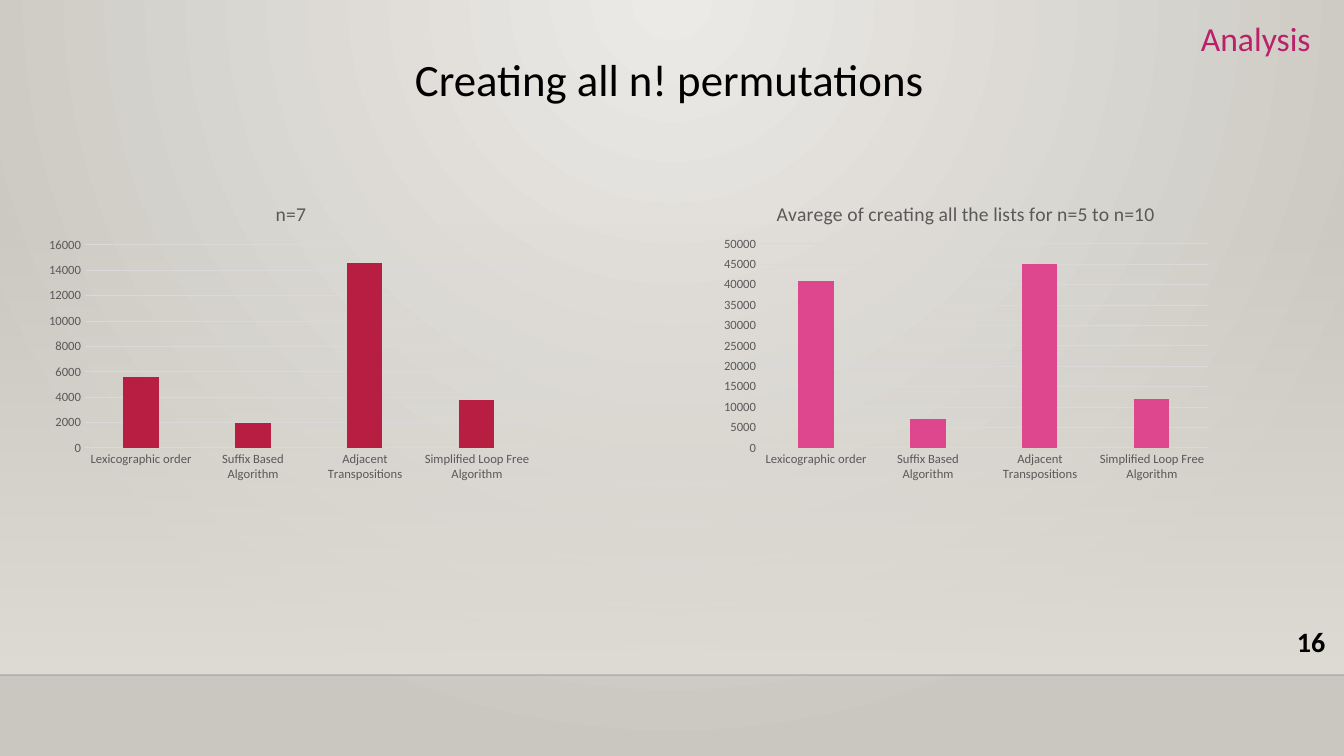
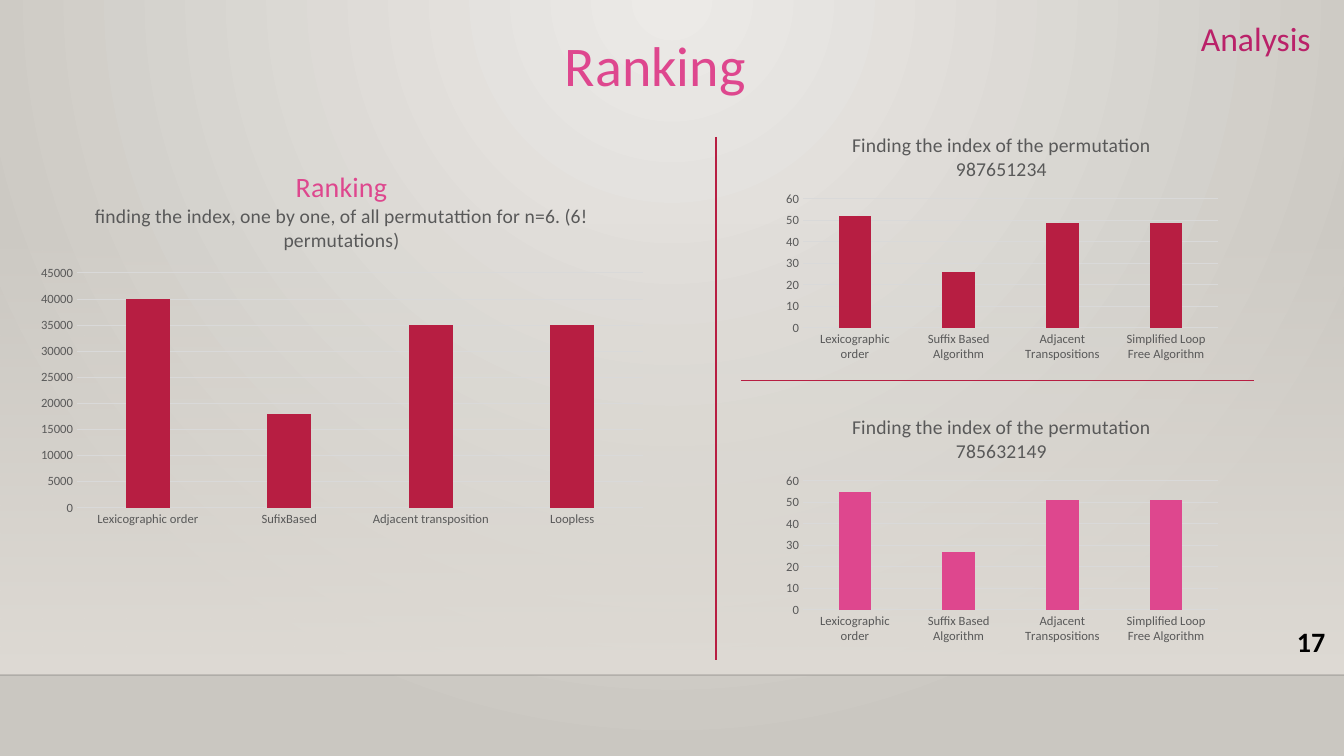
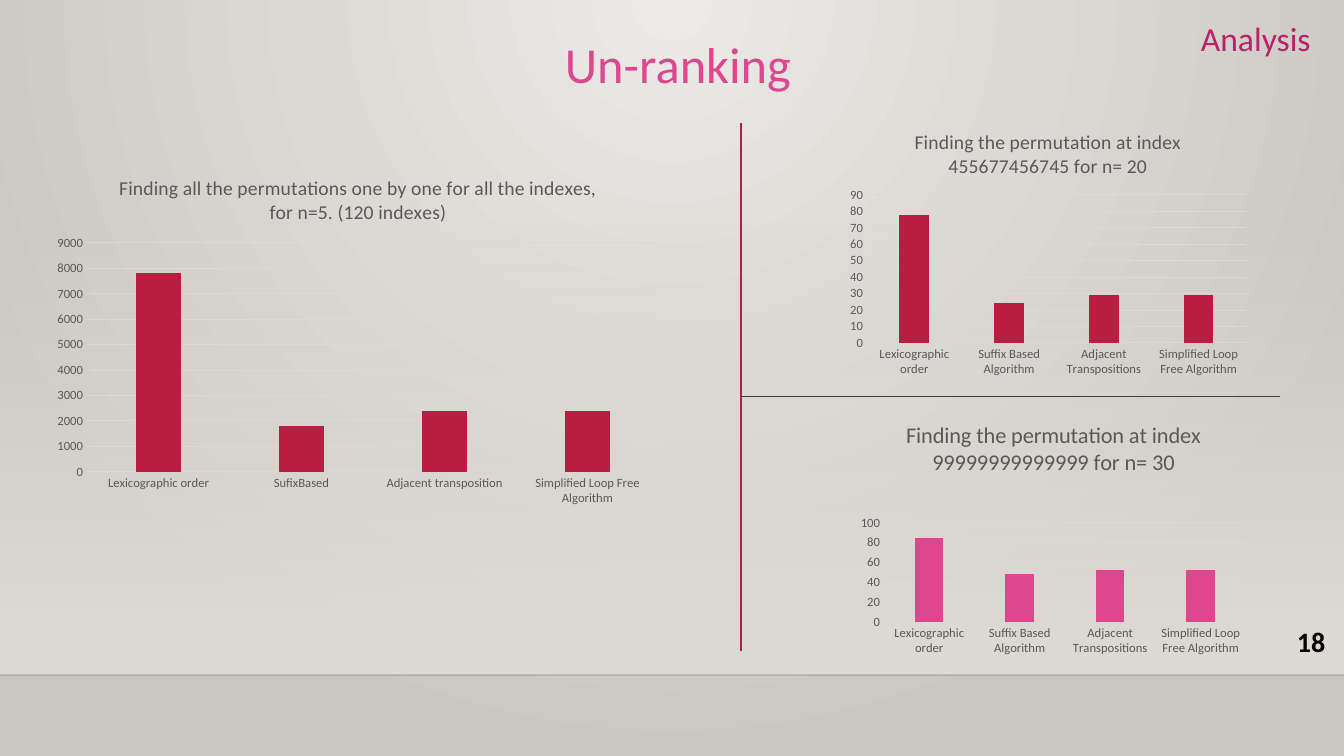
from dataclasses import dataclass
from typing import Any

from lxml import etree
from pptx import Presentation, util as u
from pptx.chart.data import CategoryChartData
from pptx.dml.color import RGBColor
from pptx.enum import chart as ch, shapes, text
from pptx.oxml.ns import qn

SLIDE_W, SLIDE_H = 1344, 756
EMU_PER_PX = 914400 / 100.8
FONT = "Calibri"
CRIMSON, PINK, MAGENTA = "B71E42", "DE478E", "BA2169"
BLACK, CHARCOAL, GREY, RULE = "000000", "404040", "595959", "D9D9D9"
BAND_TOP, BAND_BOTTOM = 223, 675

ALGORITHMS = ("Lexicographic order", "Suffix Based Algorithm",
              "Adjacent Transpositions", "Simplified Loop Free Algorithm")
SHORT_NAMES = ("Lexicographic order", "SufixBased", "Adjacent transposition")


@dataclass(frozen=True)
class Box:
    left: int
    top: int
    width: int
    height: int

    def emu(self) -> tuple[u.Emu, ...]:
        return tuple(map(px, (self.left, self.top, self.width, self.height)))


@dataclass(frozen=True)
class Label:
    words: str
    box: Box
    size: int
    color: str
    bold: bool = False


@dataclass(frozen=True)
class Heading:
    words: str
    size: int = 14
    color: str = GREY


@dataclass(frozen=True)
class BarChart:
    headings: tuple[Heading, ...]
    box: Box
    plot: Box
    values: tuple[int, ...]
    top_value: int
    step: int
    color: str = CRIMSON
    categories: tuple[str, ...] = ALGORITHMS


@dataclass(frozen=True)
class Rule:
    start: tuple[int, int]
    end: tuple[int, int]
    color: str = CRIMSON
    weight: float = 0.75


@dataclass(frozen=True)
class Page:
    number: int
    title: Label
    charts: tuple[BarChart, ...]
    dividers: tuple[Rule, ...] = ()


def px(length: float) -> u.Emu:
    return u.Emu(round(length * EMU_PER_PX))


def rgb(color: str) -> RGBColor:
    return RGBColor.from_string(color)


def apply(target: Any, **values: Any) -> None:
    for name, value in values.items():
        setattr(target, name, value)


def style_font(font: Any, size: int, color: str, bold: bool = False) -> None:
    apply(font, name=FONT, size=u.Pt(size), bold=bold)
    font.color.rgb = rgb(color)


def style_line(line: Any, color: str, weight: float) -> None:
    line.color.rgb = rgb(color)
    line.width = u.Pt(weight)


def fill_gradient(fill: Any, *colors: str) -> None:
    fill.gradient()
    for stop, color in zip(fill.gradient_stops, colors):
        stop.color.rgb = rgb(color)


def set_opacity(element: Any, percent: int) -> None:
    """Set the opacity of the first colour inside the element."""
    first = next(element.iter(qn("a:srgbClr")))
    etree.SubElement(first, qn("a:alpha"), val=str(percent * 1000))


def paint_background(master: Any) -> None:
    """Radial gradient centred on the top edge, shared by all slides."""
    fill_gradient(master.background.fill, "ECEAE7", "CAC7C1")
    linear = next(master.element.iter(qn("a:lin")))
    gradient = linear.getparent()
    gradient.remove(linear)
    radial = etree.SubElement(gradient, qn("a:path"), path="circle")
    etree.SubElement(radial, qn("a:fillToRect"), l="43000", r="43000", b="100000")


def add_rule(slide: Any, rule: Rule) -> Any:
    ends = map(px, (*rule.start, *rule.end))
    connector = slide.shapes.add_connector(shapes.MSO_CONNECTOR.STRAIGHT, *ends)
    style_line(connector.line, rule.color, rule.weight)
    etree.SubElement(connector.element.spPr, qn("a:effectLst"))
    return connector


def add_band(slide: Any) -> None:
    area = Box(0, BAND_TOP, SLIDE_W, BAND_BOTTOM - BAND_TOP)
    band = slide.shapes.add_shape(shapes.MSO_SHAPE.RECTANGLE, *area.emu())
    band.shadow.inherit = False
    band.line.fill.background()
    fill_gradient(band.fill, "DFDBD5", "DFDBD5")
    band.fill.gradient_angle = 270
    set_opacity(band.element.spPr, 0)
    edge = add_rule(slide, Rule((0, BAND_BOTTOM), (SLIDE_W, BAND_BOTTOM), "000001", 1))
    set_opacity(edge.element.spPr, 20)


def add_label(slide: Any, label: Label) -> None:
    frame = slide.shapes.add_textbox(*label.box.emu()).text_frame
    apply(frame, word_wrap=True, auto_size=text.MSO_AUTO_SIZE.SHAPE_TO_FIT_TEXT)
    run = frame.paragraphs[0].add_run()
    run.text = label.words
    style_font(run.font, label.size, label.color, label.bold)


def place_plot(chart: Any, box: Box, plot: Box) -> None:
    """Fix the inner plot area, given in slide px."""
    area = chart.element.xpath("c:chart/c:plotArea")[0]
    for old in area.findall(qn("c:layout")):
        area.remove(old)
    layout = etree.Element(qn("c:layout"))
    manual = etree.SubElement(layout, qn("c:manualLayout"))
    settings = {
        "layoutTarget": "inner", "xMode": "edge", "yMode": "edge",
        "x": (plot.left - box.left) / box.width,
        "y": (plot.top - box.top) / box.height,
        "w": plot.width / box.width,
        "h": plot.height / box.height,
    }
    for name, value in settings.items():
        etree.SubElement(manual, qn(f"c:{name}"), val=str(value))
    area.insert(0, layout)


def add_bar_chart(slide: Any, bars: BarChart) -> None:
    data = CategoryChartData()
    data.categories = bars.categories
    data.add_series("Series 1", bars.values)
    chart = slide.shapes.add_chart(
        ch.XL_CHART_TYPE.COLUMN_CLUSTERED, *bars.box.emu(), data).chart
    apply(chart, has_legend=False, has_title=True)
    style_font(chart.font, 10, BLACK)

    chart.chart_title.include_in_layout = False
    frame = chart.chart_title.text_frame
    for index, heading in enumerate(bars.headings):
        paragraph = frame.add_paragraph() if index else frame.paragraphs[0]
        run = paragraph.add_run()
        run.text = heading.words
        style_font(run.font, heading.size, heading.color)

    columns = chart.plots[0]
    apply(columns, gap_width=219, overlap=-27, vary_by_categories=False)
    fill = columns.series[0].format.fill
    fill.solid()
    fill.fore_color.rgb = rgb(bars.color)

    names, scale = chart.category_axis, chart.value_axis
    for axis in (names, scale):
        apply(axis, major_tick_mark=ch.XL_TICK_MARK.NONE,
              minor_tick_mark=ch.XL_TICK_MARK.NONE)
        style_font(axis.tick_labels.font, 9, GREY)
    style_line(names.format.line, RULE, 0.75)
    apply(scale, minimum_scale=0, maximum_scale=bars.top_value,
          major_unit=bars.step, has_major_gridlines=True)
    scale.format.line.fill.background()
    style_line(scale.major_gridlines.format.line, RULE, 0.75)
    place_plot(chart, bars.box, bars.plot)


def add_page(deck: Any, page: Page) -> None:
    slide = deck.slides.add_slide(deck.slide_layouts[6])
    add_band(slide)
    add_label(slide, Label(str(page.number), Box(1287, 620, 56, 44), 20, BLACK, True))
    add_label(slide, page.title)
    add_label(slide, Label("Analysis", Box(1191, 13, 149, 50), 24, MAGENTA))
    for bars in page.charts:
        add_bar_chart(slide, bars)
    for divider in page.dividers:
        add_rule(slide, divider)


PAGES = (
    Page(
        16,
        Label("Creating all n! permutations", Box(405, 47, 732, 65), 32, BLACK),
        (
            BarChart((Heading("n=7"),),
                     Box(39, 185, 504, 302), Box(85, 245, 448, 203),
                     (5600, 2000, 14600, 3800), 16000, 2000),
            BarChart((Heading("Avarege of creating all the lists for n=5 to n=10"),),
                     Box(714, 185, 504, 302), Box(760, 244, 448, 204),
                     (41000, 7000, 45000, 12000), 50000, 5000, PINK),
        ),
    ),
    Page(
        17,
        Label("Ranking", Box(555, 26, 732, 78), 40, PINK),
        (
            BarChart((Heading("Finding the index of the permutation 987651234"),),
                     Box(776, 117, 451, 250), Box(803, 199, 415, 129),
                     (52, 26, 49, 49), 60, 10),
            BarChart((Heading("Finding the index of the permutation 785632149"),),
                     Box(776, 399, 451, 250), Box(803, 481, 415, 129),
                     (55, 27, 51, 51), 60, 10, PINK),
            BarChart((Heading("Ranking", 20, PINK),
                      Heading("finding the index, one by one, of all permutattion "
                              "for n=6. (6! permutations)")),
                     Box(28, 152, 627, 382), Box(77, 273, 566, 235),
                     (40000, 18000, 35000, 35000), 45000, 5000,
                     categories=(*SHORT_NAMES, "Loopless")),
        ),
        (Rule((716, 137), (716, 660)), Rule((741, 381), (1254, 381))),
    ),
    Page(
        18,
        Label("Un-ranking", Box(555, 28, 732, 72), 36, PINK),
        (
            BarChart((Heading("Finding the permutation at index "
                              "455677456745 for n= 20"),),
                     Box(842, 114, 412, 267), Box(867, 195, 379, 148),
                     (78, 24, 29, 29), 90, 10),
            BarChart((Heading("Finding the permutation at index "
                              "99999999999999 for n= 30", 16),),
                     Box(853, 405, 401, 255), Box(884, 523, 362, 99),
                     (85, 48, 52, 52), 100, 20, PINK),
            BarChart((Heading("Finding all the permutations one by one for all "
                              "the indexes, for n=5. (120 indexes)"),),
                     Box(44, 158, 628, 355), Box(87, 243, 572, 229),
                     (7800, 1800, 2400, 2400), 9000, 1000,
                     categories=(*SHORT_NAMES, ALGORITHMS[-1])),
        ),
        (Rule((741, 123), (741, 651)), Rule((741, 397), (1280, 397), CHARCOAL)),
    ),
)


def main() -> None:
    deck = Presentation()
    apply(deck, slide_width=px(SLIDE_W), slide_height=px(SLIDE_H))
    paint_background(deck.slide_master)
    for page in PAGES:
        add_page(deck, page)
    deck.save("out.pptx")


if __name__ == "__main__":
    main()
